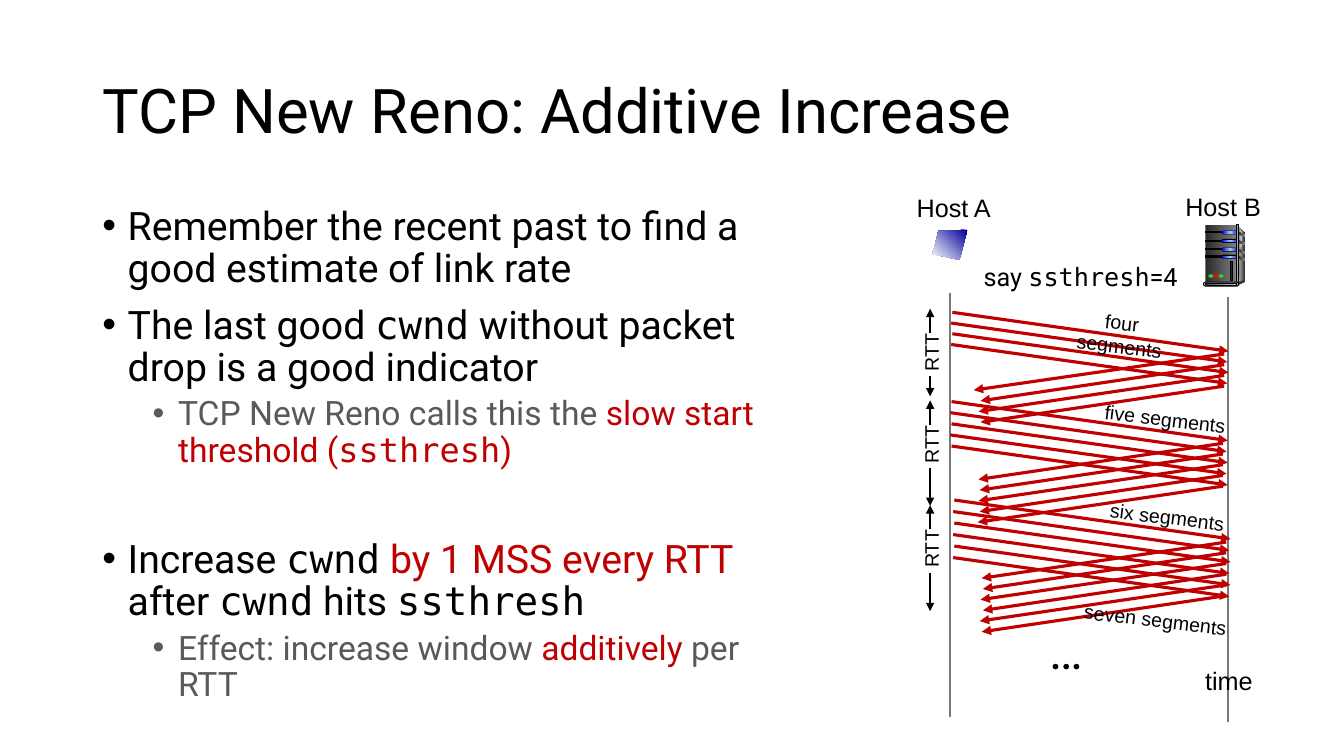
from copy import deepcopy
from lxml import etree
from pptx import Presentation
from pptx import util as u
from pptx.dml import color
from pptx.enum import shapes, text
from pptx.oxml import ns

COLOURS = {"black": "000000", "grey": "595959", "red": "C00000", "axis": "777777",
           "navy": "000099", "white": "FFFFFF", "dark": "292929", "mid": "808080",
           "light": "DDDDDD", "shade": "333333", "pale": "F8F8F8", "blue": "0000FF",
           "sky": "99CCFF", "green": "33CC33", "bright red": "FF0000",
           "slate": "44546A", "silver": "E7E6E6"}
RGB = {name: color.RGBColor.from_string(value) for name, value in COLOURS.items()}
MONO = "DejaVu Sans Mono"
ALIGN = text.PP_ALIGN

presentation = Presentation()
presentation.slide_width, presentation.slide_height = u.Cm(33.87), u.Cm(19.05)
slide = presentation.slides.add_slide(presentation.slide_layouts[6])


def add_text(box, paragraphs, size, font="Arial", wrap=False, rotation=0, anchor="TOP"):
    """Each paragraph is (runs, paragraph formats); each run is (text, colour, font)."""
    shape = slide.shapes.add_textbox(*map(u.Cm, box))
    shape.rotation = rotation
    frame = shape.text_frame
    frame.word_wrap = wrap
    frame.vertical_anchor = text.MSO_ANCHOR[anchor]
    for index, (runs, formats) in enumerate(paragraphs):
        paragraph = frame.paragraphs[0] if index == 0 else frame.add_paragraph()
        for name, value in formats.items():
            setattr(paragraph, name, value)
        for words, colour, face in runs:
            run = paragraph.add_run()
            run.text = words
            run_size = u.Pt(24 if formats.get("level") else size)
            for name, value in {"name": face or font, "size": run_size}.items():
                setattr(run.font, name, value)
            run.font.color.rgb = RGB[colour]
    return frame


def paint(shape, colours, angle=0, outlined=False):
    """One colour gives a solid fill, more give an even gradient."""
    shape.shadow.inherit = False
    if len(colours) == 1:
        shape.fill.solid()
        shape.fill.fore_color.rgb = RGB[colours[0]]
    else:
        shape.fill.gradient()
        shape.fill.gradient_angle = angle
        stop_list = shape._element.spPr.find(".//" + ns.qn("a:gsLst"))
        for _ in colours[2:]:
            stop_list.append(deepcopy(stop_list[0]))
        for index, (stop, colour) in enumerate(zip(shape.fill.gradient_stops, colours)):
            stop.position = index / (len(colours) - 1)
            stop.color.rgb = RGB[colour]
    if outlined:
        shape.line.color.rgb = RGB["black"]
        shape.line.width = u.Pt(0.75)
    else:
        shape.line.fill.background()


# Title
add_text((2.33, 1.01, 29.21, 3.68),
         [([("TCP New Reno: Additive Increase", "black", None)], {"line_spacing": 0.9})],
         44, "Roboto", wrap=True, anchor="MIDDLE")

# Bullet list: level, space before in points, runs
bullets = [
    (0, 0, [("Remember the recent past to find a good estimate of link rate", "black", None)]),
    (0, 10, [("The last good ", "black", None), ("cwnd", "black", MONO),
             (" without packet drop is a good indicator", "black", None)]),
    (1, 5, [("TCP New Reno calls this the ", "grey", None),
            ("slow start threshold (", "red", None), ("ssthresh", "red", MONO),
            (")", "red", None)]),
    (0, 50, [("Increase ", "black", None), ("cwnd", "black", MONO),
             (" by 1 MSS every RTT ", "red", None), ("after ", "black", None),
             ("cwnd", "black", MONO), (" hits ", "black", None),
             ("ssthresh", "black", MONO)]),
    (1, 5, [("Effect: increase window ", "grey", None), ("additively", "red", None),
            (" per RTT", "grey", None)]),
]
body = add_text((2.33, 5.08, 17.12, 13.34),
                [(runs, {"level": level, "line_spacing": 0.9, "space_before": u.Pt(gap)})
                 for level, gap, runs in bullets], 28, "Roboto", wrap=True)
for paragraph in body.paragraphs:
    properties = paragraph._p.get_or_add_pPr()
    properties.set("marL", str(u.Cm(1.91 if paragraph.level else 0.64)))
    properties.set("indent", str(u.Cm(-0.64)))
    etree.SubElement(properties, ns.qn("a:buFont")).set("typeface", "Arial")
    etree.SubElement(properties, ns.qn("a:buChar")).set("char", "•")

# Host timelines: start, end, colour, width, arrowhead at the end
lines = [((23.95, 7.39), (23.95, 18.06), "axis", 1.5, False),
         ((30.94, 7.49), (30.94, 18.19), "axis", 1.5, False)]

# Round-trip arrows above and below each label: label top, length of lower arrow
round_trips = [(8.46, 0.51), (10.77, 0.96), (13.41, 0.97)]
for top, length in round_trips:
    for start, end in ((top - 0.07, top - 0.68), (top + 1.02, top + 1.02 + length)):
        lines.append(((23.44, start), (23.44, end), "black", 1.5, True))

# Segments and acknowledgements:
# segment x, y and step, acknowledgement right end x, first y, left ends x
batches = [
    (24.0, 7.87, 0.27, 30.85, 9.83, [24.54, 24.71, 24.66, 24.71]),
    (23.98, 10.12, 0.28, 30.82, 12.08, [24.66, 24.69, 24.66, 24.69, 24.64]),
    (24.05, 12.6, 0.29, 30.9, 14.57, [24.74, 24.77, 24.71, 24.77, 24.69, 24.74]),
]
for x, y, step, ack_right, ack_y, ack_lefts in batches:
    for index, ack_left in enumerate(ack_lefts):
        left, top, ack_top = x - 0.03 * (index % 2), y + step * index, ack_y + 0.27 * index
        lines.append(((left, top), (left + 6.96, top + 0.98), "red", 2.25, True))
        lines.append(((ack_right, ack_top - 0.91), (ack_left, ack_top), "red", 2.25, True))

for start, end, colour, width, arrow in lines:
    connector = slide.shapes.add_connector(shapes.MSO_CONNECTOR.STRAIGHT,
                                           *map(u.Cm, start + end))
    connector.line.color.rgb = RGB[colour]
    connector.line.width = u.Pt(width)
    if arrow:
        etree.SubElement(connector.line._get_or_add_ln(), ns.qn("a:tailEnd")).set("type", "triangle")
    etree.SubElement(connector._element.spPr, ns.qn("a:effectLst"))

# Host icons: outlines, then the preset parts of the server
outlines = [
    ([(24.38, 5.79), (23.65, 5.82), (23.5, 6.4), (24.18, 6.55)], ["navy", "white"], 225),
    ([(31.19, 5.69), (31.37, 5.87), (31.37, 7.06), (31.17, 7.14)], ["light", "shade"], 0),
    ([(31.22, 5.77), (31.32, 5.89), (31.25, 6.4), (31.22, 7.09)], ["mid", "pale"], 0),
    ([(31.19, 7.11), (31.19, 7.19), (31.37, 7.11), (31.37, 7.06)], ["shade"], 0),
]
parts = [("RECTANGLE", 30.38, 5.66, 0.79, 1.45, ["dark", "mid"], False)]
for y in (5.84, 6.05, 6.27, 6.45):
    outlines.append(([(31.19, y), (31.37, y + 0.07), (31.37, y + 0.13), (31.19, y + 0.05)],
                     ["dark", "mid"], 0))
    parts += [("RECTANGLE", 30.38, y, 0.46, 0.03, ["black"], True),
              ("ROUNDED_RECTANGLE", 30.78, y - 0.03, 0.43, 0.1, ["black"], False),
              ("ROUNDED_RECTANGLE", 30.8, y - 0.01, 0.41, 0.07, ["blue", "sky", "blue"], False)]
parts += [("RECTANGLE", 31.17, 5.66, 0.05, 1.45, ["shade", "light", "shade"], True),
          ("OVAL", 31.34, 7.06, 0.03, 0.05, ["shade"], False),
          ("ROUNDED_RECTANGLE", 30.33, 7.11, 0.89, 0.1, ["light"], True),
          ("ROUNDED_RECTANGLE", 30.38, 7.14, 0.79, 0.05, ["slate", "silver"], True),
          ("RECTANGLE", 31.01, 6.58, 0.05, 0.48, ["dark"], True)]
for index, colour in enumerate(["green", "bright red", "green"]):
    parts.append(("OVAL", 30.45 + 0.13 * index, 6.91, 0.13, 0.09, [colour], False))

for points, colours, angle in outlines:
    corners = [(u.Cm(x), u.Cm(y)) for x, y in points]
    builder = slide.shapes.build_freeform(*corners[0])
    builder.add_line_segments(corners[1:], close=True)
    paint(builder.convert_to_shape(), colours, angle)
for kind, x, y, width, height, colours, outlined in parts:
    shape = slide.shapes.add_shape(shapes.MSO_SHAPE[kind], *map(u.Cm, (x, y, width, height)))
    if kind == "ROUNDED_RECTANGLE":
        shape.adjustments[0] = 0.5
    paint(shape, colours, outlined=outlined)

# Diagram labels: words, box, size, alignment, rotation, wrap
labels = [
    ("Host A", (22.83, 4.72, 2.41, 1.02), 18, ALIGN.CENTER, 0, False),
    ("Host B", (29.62, 4.7, 2.41, 1.02), 18, ALIGN.CENTER, 0, False),
    ("time", (30.12, 16.64, 1.7, 1.02), 18, ALIGN.CENTER, 0, False),
    ("four segments", (26.7, 7.7, 3.1, 1.35), 14, ALIGN.CENTER, 6.8, True),
    ("five segments", (27.56, 10.13, 3.58, 0.86), 14, ALIGN.RIGHT, 6.8, False),
    ("six segments", (27.71, 12.6, 3.4, 0.86), 14, ALIGN.RIGHT, 6.8, False),
    ("seven segments", (27.03, 15.19, 4.14, 0.86), 14, ALIGN.RIGHT, 6.8, False),
]
labels += [("RTT", (22.73, top, 1.47, 0.84), 14, ALIGN.CENTER, 270, False)
           for top, _ in round_trips]
for words, box, size, alignment, rotation, wrap in labels:
    add_text(box, [([(words, "black", None)], {"alignment": alignment})], size,
             wrap=wrap, rotation=rotation)

add_text((24.54, 6.45, 5.79, 1.02),
         [([("say ", "black", None), ("ssthresh", "black", MONO), ("=4", "black", None)], {})],
         18, "Roboto", wrap=True)
add_text((26.19, 15.47, 3.2, 1.8), [([("…", "black", None)], {})], 36, "Roboto", wrap=True)

presentation.save("out.pptx")
